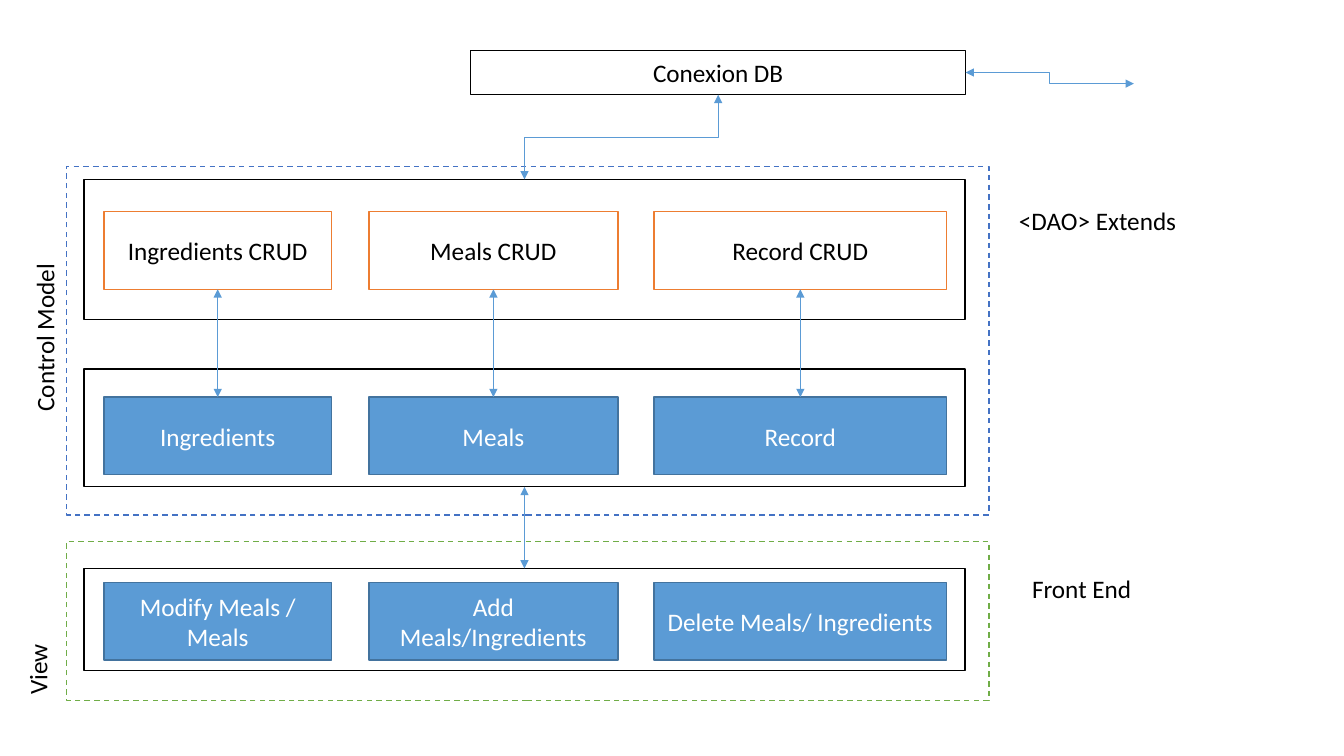
from dataclasses import dataclass
from typing import Optional

from lxml.etree import SubElement
from pptx import Presentation
from pptx.dml.color import RGBColor
from pptx.enum.dml import MSO_LINE
from pptx.enum.shapes import MSO_CONNECTOR, MSO_SHAPE
from pptx.enum.text import MSO_ANCHOR, PP_ALIGN
from pptx.oxml.ns import qn
from pptx.slide import Slide
from pptx.util import Inches, Pt

SLIDE_WIDTH, SLIDE_HEIGHT = Inches(13.33), Inches(7.5)
COLUMN, ROW = SLIDE_WIDTH / 80, SLIDE_HEIGHT / 45

BLACK = RGBColor(0x00, 0x00, 0x00)
WHITE = RGBColor(0xFF, 0xFF, 0xFF)
BLUE = RGBColor(0x5B, 0x9B, 0xD5)
DARK_BLUE = RGBColor(0x43, 0x73, 0x9E)
ZONE_BLUE = RGBColor(0x44, 0x72, 0xC4)
ORANGE = RGBColor(0xED, 0x7D, 0x31)
GREEN = RGBColor(0x70, 0xAD, 0x47)


@dataclass(frozen=True)
class Style:
    fill: Optional[RGBColor]
    line: RGBColor
    font: RGBColor = BLACK
    dashed: bool = False


@dataclass(frozen=True)
class Box:
    column: float
    row: float
    columns: float
    rows: float
    style: Style
    text: str = ""

    @property
    def center(self) -> float:
        return self.column + self.columns / 2

    @property
    def bottom(self) -> float:
        return self.row + self.rows


@dataclass(frozen=True)
class Label:
    text: str
    column: float
    row: float
    columns: float
    rotation: int = 0


@dataclass(frozen=True)
class Link:
    start: tuple[float, float]
    end: tuple[float, float]
    kind: MSO_CONNECTOR = MSO_CONNECTOR.STRAIGHT
    upright: bool = False


PANEL = Style(WHITE, BLACK)
CRUD = Style(WHITE, ORANGE)
ENTITY = Style(BLUE, DARK_BLUE, WHITE)

DATABASE = Box(28.02, 3, 29.46, 2.64, PANEL, "Conexion DB")
PANELS = [
    Box(5, row, 52.44, rows, PANEL)
    for row, rows in ((10.68, 8.34), (21.96, 7.02), (33.84, 6.06))
]
ZONES = [
    Box(3.96, 9.9, 54.9, 20.76, Style(None, ZONE_BLUE, dashed=True)),
    Box(3.96, 32.22, 54.9, 9.48, Style(None, GREEN, dashed=True)),
]

BOX_COLUMNS = ((6.18, 13.56), (21.96, 14.82), (38.94, 17.4))
BOX_ROWS = (
    (12.6, CRUD, ("Ingredients CRUD", "Meals CRUD", "Record CRUD")),
    (23.64, ENTITY, ("Ingredients", "Meals", "Record")),
    (34.68, ENTITY, ("Modify Meals / Meals", "Add Meals/Ingredients",
                     "Delete Meals/ Ingredients")),
)
CRUD_BOXES, MODEL_BOXES, VIEW_BOXES = (
    [Box(column, row, columns, 4.62, style, text)
     for (column, columns), text in zip(BOX_COLUMNS, texts)]
    for row, style, texts in BOX_ROWS
)

DAO_PANEL, MODEL_PANEL, VIEW_PANEL = PANELS
LINKS = [
    Link((upper.center, upper.bottom), (lower.center, lower.row))
    for upper, lower in zip(CRUD_BOXES, MODEL_BOXES)
] + [
    Link((MODEL_PANEL.center, MODEL_PANEL.bottom),
         (VIEW_PANEL.center, VIEW_PANEL.row)),
    Link((67.5, 4.98), (57.48, 4.32), MSO_CONNECTOR.ELBOW),
    Link((DAO_PANEL.center, DAO_PANEL.row),
         (DATABASE.center, DATABASE.bottom), MSO_CONNECTOR.ELBOW, True),
]

LABELS = [
    Label("<DAO> Extends", 60.06, 11.94, 16.5),
    Label("Front End", 60.84, 33.84, 16.5),
    Label("Control Model", -4.56, 16.68, 14.4, 270),
    Label("View", -4.98, 33.54, 14.4, 270),
]


def write(shape, text: str, color: RGBColor, alignment: PP_ALIGN) -> None:
    shape.text_frame.word_wrap = True
    paragraph = shape.text_frame.paragraphs[0]
    paragraph.text = text
    paragraph.alignment = alignment
    paragraph.font.name = "Calibri"
    paragraph.font.size = Pt(18)
    paragraph.font.color.rgb = color


def draw_box(slide: Slide, box: Box) -> None:
    shape = slide.shapes.add_shape(
        MSO_SHAPE.RECTANGLE, round(box.column * COLUMN), round(box.row * ROW),
        round(box.columns * COLUMN), round(box.rows * ROW))
    shape.shadow.inherit = False
    if box.style.fill is None:
        shape.fill.background()
    else:
        shape.fill.solid()
        shape.fill.fore_color.rgb = box.style.fill
    shape.line.color.rgb = box.style.line
    shape.line.width = Pt(1)
    if box.style.dashed:
        shape.line.dash_style = MSO_LINE.DASH
    if box.text:
        shape.text_frame.vertical_anchor = MSO_ANCHOR.MIDDLE
        write(shape, box.text, box.style.font, PP_ALIGN.CENTER)


def draw_label(slide: Slide, label: Label) -> None:
    shape = slide.shapes.add_textbox(
        round(label.column * COLUMN), round(label.row * ROW),
        round(label.columns * COLUMN), round(2.4 * ROW))
    shape.rotation = label.rotation
    write(shape, label.text, BLACK, PP_ALIGN.LEFT)


def draw_link(slide: Slide, link: Link) -> None:
    start_x, end_x = (point[0] * COLUMN for point in (link.start, link.end))
    start_y, end_y = (point[1] * ROW for point in (link.start, link.end))
    if link.upright:
        middle_x, middle_y = (start_x + end_x) / 2, (start_y + end_y) / 2
        across, down = start_y - middle_y, middle_x - start_x
        start_x, end_x = middle_x + across, middle_x - across
        start_y, end_y = middle_y + down, middle_y - down
    connector = slide.shapes.add_connector(
        link.kind, round(start_x), round(start_y), round(end_x), round(end_y))
    connector.line.color.rgb = BLUE
    connector.line.width = Pt(0.5)
    properties = connector.element.spPr
    if link.upright:
        properties.find(qn("a:xfrm")).set("rot", str(90 * 60000))
    for tag in ("a:headEnd", "a:tailEnd"):
        SubElement(properties.find(qn("a:ln")), qn(tag), type="triangle")
    SubElement(properties, qn("a:effectLst"))


def main() -> None:
    presentation = Presentation()
    presentation.slide_width = SLIDE_WIDTH
    presentation.slide_height = SLIDE_HEIGHT
    slide = presentation.slides.add_slide(presentation.slide_layouts[6])
    for box in [DATABASE, *PANELS, *CRUD_BOXES, *MODEL_BOXES, *VIEW_BOXES, *ZONES]:
        draw_box(slide, box)
    for link in LINKS:
        draw_link(slide, link)
    for label in LABELS:
        draw_label(slide, label)
    presentation.save("out.pptx")


if __name__ == "__main__":
    main()
